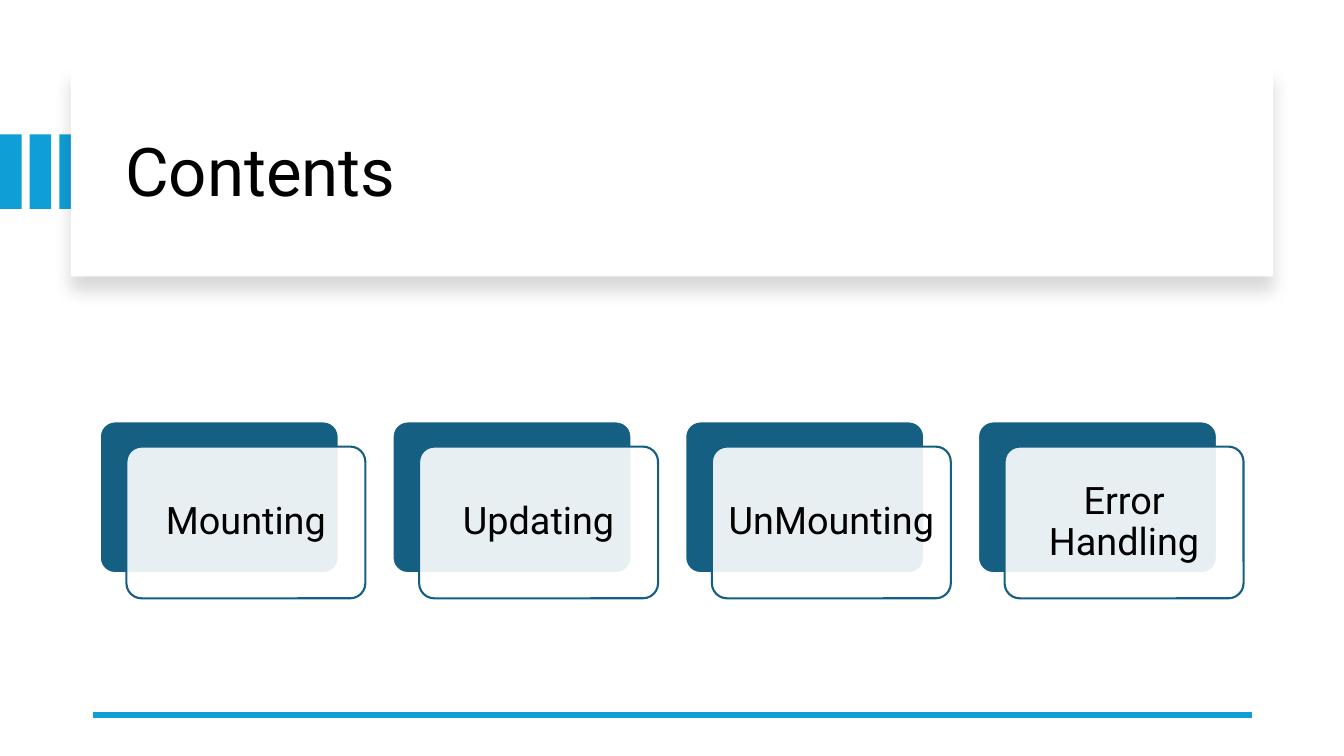
from pptx import Presentation
from pptx.dml.color import RGBColor
from pptx.enum.shapes import MSO_CONNECTOR as Connector, MSO_SHAPE as Shape
from pptx.enum.text import MSO_ANCHOR as Anchor, PP_ALIGN as Align
from pptx.oxml import parse_xml
from pptx.oxml.ns import nsdecls, qn
from pptx.util import Pt
from lxml.etree import SubElement

FONT = "Roboto"
BLUE, TEAL, WHITE, BLACK = "0F9ED5", "156082", "FFFFFF", "000000"
TOPICS = ["Mounting", "Updating", "UnMounting", "Error Handling"]
CARD_LEFT, CARD_TOP, CARD_PITCH = 71.3, 301, 209.1
CARD_WIDTH, CARD_HEIGHT = 170.7, 108.4
CARD_SHIFT_X, CARD_SHIFT_Y, LABEL_INSET = 19, 18, 3.15


def color(value):
    return RGBColor.from_string(value)


def add_box(page, left, top, width, height, fill, kind=Shape.RECTANGLE, line=None):
    box = page.shapes.add_shape(kind, Pt(left), Pt(top), Pt(width), Pt(height))
    box.shadow.inherit = False
    box.fill.solid()
    box.fill.fore_color.rgb = color(fill)
    if line:
        box.line.color.rgb = color(line)
        box.line.width = Pt(1.5)
    else:
        box.line.fill.background()
    return box


def add_text(page, text, left, top, width, height, size, align=Align.LEFT,
             inset_x=7.2, inset_y=3.6, after=0):
    box = page.shapes.add_textbox(Pt(left), Pt(top), Pt(width), Pt(height))
    frame = box.text_frame
    frame.word_wrap = True
    frame.vertical_anchor = Anchor.MIDDLE
    frame.margin_left = frame.margin_right = Pt(inset_x)
    frame.margin_top = frame.margin_bottom = Pt(inset_y)
    para = frame.paragraphs[0]
    para.alignment = align
    para.line_spacing = 0.9
    para.space_after = Pt(after)
    span = para.add_run()
    span.text = text
    span.font.name = FONT
    span.font.size = Pt(size)
    span.font.color.rgb = color(BLACK)


def add_soft_shadow(box):
    effects = box.element.spPr.find(qn("a:effectLst"))
    effects.append(parse_xml(
        f'<a:outerShdw {nsdecls("a")} blurRad="{Pt(11)}" dist="{Pt(10)}" '
        f'dir="5400000" algn="t" rotWithShape="0"><a:srgbClr val="{BLACK}">'
        '<a:alpha val="15000"/></a:srgbClr></a:outerShdw>'))


def set_opacity(box, percent):
    fill_color = box.element.spPr.find(qn("a:solidFill"))[0]
    SubElement(fill_color, qn("a:alpha")).set("val", str(percent * 1000))


def add_rule(page, start, end, y):
    rule = page.shapes.add_connector(Connector.STRAIGHT, Pt(start), Pt(y), Pt(end), Pt(y))
    rule.line.color.rgb = color(BLUE)
    rule.line.width = Pt(4.5)
    SubElement(rule.element.spPr, qn("a:effectLst"))


def add_card(page, topic, left):
    front_left, front_top = left + CARD_SHIFT_X, CARD_TOP + CARD_SHIFT_Y
    back = add_box(page, left, CARD_TOP, CARD_WIDTH, CARD_HEIGHT, TEAL,
                   kind=Shape.ROUNDED_RECTANGLE, line=WHITE)
    front = add_box(page, front_left, front_top, CARD_WIDTH, CARD_HEIGHT, WHITE,
                    kind=Shape.ROUNDED_RECTANGLE, line=TEAL)
    for box in (back, front):
        box.adjustments[0] = 0.1
    set_opacity(front, 90)
    add_text(page, topic, front_left + LABEL_INSET, front_top + LABEL_INSET,
             CARD_WIDTH - 2 * LABEL_INSET, CARD_HEIGHT - 2 * LABEL_INSET, 27,
             align=Align.CENTER, inset_x=8.1, inset_y=8.1, after=9.45)


def main():
    deck = Presentation()
    deck.slide_width, deck.slide_height = Pt(960), Pt(540)
    page = deck.slides.add_slide(deck.slide_layouts[6])

    # Accent bars
    for index in range(3):
        add_box(page, index * 21.2, 96, 15.4, 53.2, BLUE)

    # Title panel
    panel = add_box(page, 50.6, 48.2, 858.8, 149.2, WHITE)
    add_soft_shadow(panel)
    add_text(page, "Contents", 82.4, 63.8, 801.4, 122.4, 48)

    # Bottom rule
    add_rule(page, 894.2, 66.2, 510.5)

    # Topic cards
    for index, topic in enumerate(TOPICS):
        add_card(page, topic, CARD_LEFT + index * CARD_PITCH)

    deck.save("out.pptx")


if __name__ == "__main__":
    main()
